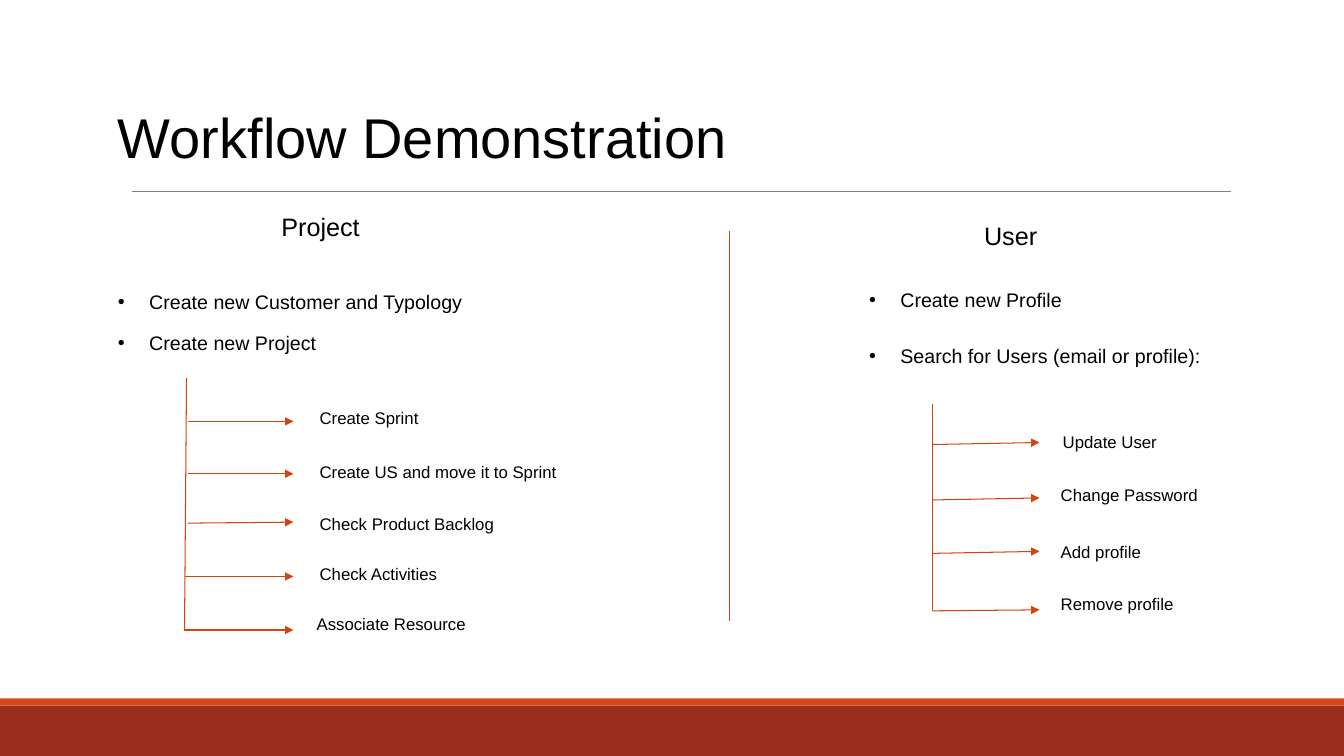
import pptx
import pptx.util
import pptx.dml.color
import pptx.enum.shapes
import pptx.enum.text
import pptx.oxml.ns
import lxml.etree

PX = 9144
RGB = pptx.dml.color.RGBColor
BLACK = RGB(0, 0, 0)
GRAY = RGB(0x80, 0x80, 0x80)
RUST = RGB(0xD3, 0x44, 0x11)
ORANGE = RGB(0xD3, 0x48, 0x17)
BRICK = RGB(0x9B, 0x2D, 0x1F)

PROJECT = [
    ("Create Sprint", 317, 390, 171, 186, 418, 418),
    ("Create US and move it to Sprint", 317, 444, 328, 186, 470, 470),
    ("Check Product Backlog", 317, 495, 196, 186, 519, 518),
    ("Check Activities", 317, 545, 196, 184, 572, 572),
    ("Associate Resource", 314, 595, 196, 184, 625, 625),
]
USER = [
    ("Update User", 1054, 414, 222, 925, 441, 439),
    ("Change Password", 1052, 467, 222, 925, 496, 494),
    ("Add profile", 1052, 523, 129, 925, 549, 547),
    ("Remove profile", 1052, 575, 129, 925, 606, 605),
]


def px(*nums):
    return [pptx.util.Emu(n * PX) for n in nums]


def add_tag(node, name, **attrs):
    return lxml.etree.SubElement(node, pptx.oxml.ns.qn(name), **attrs)


def set_frame(frame):
    frame.word_wrap = True
    frame.auto_size = pptx.enum.text.MSO_AUTO_SIZE.NONE
    frame.vertical_anchor = pptx.enum.text.MSO_ANCHOR.MIDDLE
    frame.margin_left = frame.margin_right = 0
    frame.margin_top = frame.margin_bottom = 0


def set_para(para, text, size, space=0.9):
    para.text = text
    para.alignment = pptx.enum.text.PP_ALIGN.LEFT
    para.line_spacing = space
    para.font.name = "Arial"
    para.font.size = pptx.util.Pt(size)
    para.font.color.rgb = BLACK


def add_band(slide, top, height, color):
    band = slide.shapes.add_shape(
        pptx.enum.shapes.MSO_SHAPE.RECTANGLE, *px(0, top, 1333, height))
    band.shadow.inherit = False
    band.fill.solid()
    band.fill.fore_color.rgb = color
    band.line.fill.background()


def add_line(slide, ends, color=RUST, width=0.75, arrow=False):
    line = slide.shapes.add_connector(
        pptx.enum.shapes.MSO_CONNECTOR.STRAIGHT, *px(*ends))
    line.line.color.rgb = color
    line.line.width = pptx.util.Pt(width)
    if arrow:
        add_tag(line.line._get_or_add_ln(), "a:tailEnd", type="triangle")
    add_tag(line._element.spPr, "a:effectLst")


def add_label(slide, text, box, size):
    frame = slide.shapes.add_textbox(*px(*box)).text_frame
    set_frame(frame)
    set_para(frame.paragraphs[0], text, size)


def add_list(slide, box, items):
    frame = slide.shapes.add_textbox(*px(*box)).text_frame
    set_frame(frame)
    for i, (text, space) in enumerate(items):
        para = frame.add_paragraph() if i else frame.paragraphs[0]
        props = para._p.get_or_add_pPr()
        props.set("marL", str(31 * PX))
        props.set("indent", str(-31 * PX))
        tint = add_tag(props, "a:buClr")
        add_tag(tint, "a:srgbClr", val=str(BLACK))
        add_tag(props, "a:buFont", typeface="Arial")
        add_tag(props, "a:buChar", char="•")
        set_para(para, text, 14, space)
        if i:
            para.space_before = pptx.util.Pt(14.5)


def add_tree(slide, stem, tip, rows):
    add_line(slide, stem)
    for text, left, top, width, start, tail, head in rows:
        add_line(slide, (start, tail, tip, head), arrow=True)
        add_label(slide, text, (left, top, width, 51), 12)


def add_title(slide, text, box):
    title = slide.shapes.title
    title.left, title.top, title.width, title.height = px(*box)
    set_frame(title.text_frame)
    set_para(title.text_frame.paragraphs[0], text, 40)


def main():
    deck = pptx.Presentation()
    deck.slide_width, deck.slide_height = px(1333, 750)
    slide = deck.slides.add_slide(deck.slide_layouts[5])
    add_band(slide, 700, 50, BRICK)
    add_band(slide, 693, 7, ORANGE)
    add_line(slide, (131, 190, 1221, 190), GRAY, 0.5)
    add_title(slide, "Workflow Demonstration", (117, 70, 1100, 139))
    add_line(slide, (724, 229, 724, 616))

    add_label(slide, "Project", (279, 196, 288, 61), 18)
    add_list(slide, (117, 256, 486, 130), [
        ("Create new Customer and Typology", 0.9),
        ("Create new Project", 0.9)])
    add_tree(slide, (185, 375, 183, 626), 291, PROJECT)

    add_label(slide, "User", (976, 205, 288, 61), 18)
    add_list(slide, (862, 229, 398, 195), [
        ("Create new Profile", 0.9),
        ("Search for Users (email or profile):", 1.5)])
    add_tree(slide, (925, 401, 925, 606), 1031, USER)
    deck.save("out.pptx")


if __name__ == "__main__":
    main()
